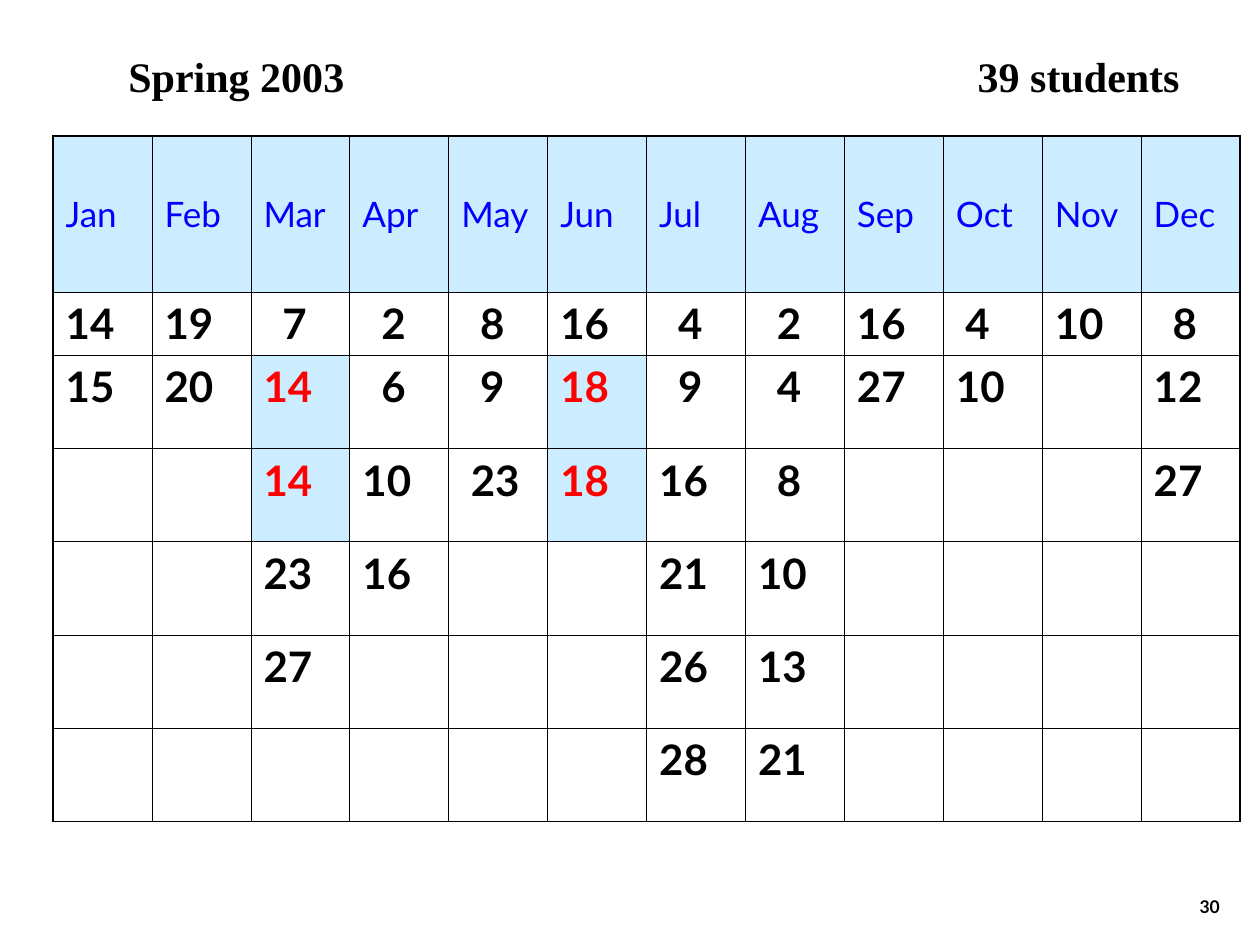
"""Build the Spring 2003 birthday calendar slide."""
from lxml import etree
from pptx import Presentation
from pptx import util as u
from pptx.dml.color import RGBColor
from pptx.enum import text
from pptx.oxml import ns

BLACK = RGBColor(0x00, 0x00, 0x00)
BLUE = RGBColor(0x00, 0x00, 0xFF)
RED = RGBColor(0xFF, 0x00, 0x00)
PALE_BLUE = RGBColor(0xCC, 0xEC, 0xFF)

BIRTHDAYS = {
    "Jan": [14, 15],
    "Feb": [19, 20],
    "Mar": [7, 14, 14, 23, 27],
    "Apr": [2, 6, 10, 16],
    "May": [8, 9, 23],
    "Jun": [16, 18, 18],
    "Jul": [4, 9, 16, 21, 26, 28],
    "Aug": [2, 4, 8, 10, 13, 21],
    "Sep": [16, 27],
    "Oct": [4, 10],
    "Nov": [10],
    "Dec": [8, 12, 27],
}
ROW_HEIGHTS = [3.15, 1.27] + [1.88] * 5
HALF_INDENTS = {("Oct", 4), ("May", 23)}


class Deck:
    """Hold the text style and the current slide."""

    body_font = "Lato"
    title_font = "Times New Roman"
    step = 0.19
    inner, outer = 0.45, 1.08

    def __init__(self, prs):
        self.s = prs.slides.add_slide(prs.slide_layouts[6])

    def run(self, p, words, size, color=BLACK, bold=True, font=body_font):
        r = p.add_run()
        r.text = words
        r.font.name, r.font.size, r.font.bold = font, u.Pt(size), bold
        r.font.color.rgb = color

    def box(self, x, y, w, h, anchor=text.MSO_ANCHOR.TOP):
        sp = self.s.shapes.add_textbox(u.Cm(x), u.Cm(y), u.Cm(w), u.Cm(h))
        tf = sp.text_frame
        tf.word_wrap = True
        tf.vertical_anchor = anchor
        return tf.paragraphs[0]

    def heading(self, left, right):
        p = self.box(2.34, 0.9, 21.79, 1.27)
        tabs = etree.SubElement(p._p.get_or_add_pPr(), ns.qn("a:tabLst"))
        etree.SubElement(tabs, ns.qn("a:tab"), pos=str(u.Cm(17.12)), algn="l")
        for words in (left, "\t", right):
            self.run(p, words, 24, font=self.title_font)

    def page_number(self, number):
        p = self.box(19.56, 17.35, 5.28, 1.27, text.MSO_ANCHOR.BOTTOM)
        p.alignment = text.PP_ALIGN.RIGHT
        self.run(p, str(number), 10)

    def borders(self, cell, widths):
        tcPr = cell._tc.get_or_add_tcPr()
        for i, (side, width) in enumerate(zip("LRTB", widths)):
            ln = etree.Element(ns.qn(f"a:ln{side}"), w=str(u.Pt(width)))
            fill = etree.SubElement(ln, ns.qn("a:solidFill"))
            etree.SubElement(fill, ns.qn("a:srgbClr"), val=str(BLACK))
            tcPr.insert(i, ln)

    def fill(self, cell, shaded):
        if shaded:
            cell.fill.solid()
            cell.fill.fore_color.rgb = PALE_BLUE
        else:
            cell.fill.background()

    def calendar(self, x, y, w, heights, months):
        rows, cols = len(heights), len(months)
        frame = self.s.shapes.add_table(
            rows, cols, u.Cm(x), u.Cm(y), u.Cm(w), u.Cm(sum(heights)))
        table = frame.table
        table.first_row = table.horz_banding = False
        for row, height in zip(table.rows, heights):
            row.height = u.Cm(height)
        for c, (month, days) in enumerate(months.items()):
            for r in range(rows):
                cell = table.cell(r, c)
                p = cell.text_frame.paragraphs[0]
                day = days[r - 1] if 0 < r <= len(days) else None
                shared = day is not None and days.count(day) > 1
                self.fill(cell, r == 0 or shared)
                edges = (c == 0, c == cols - 1, r == 0, r == rows - 1)
                self.borders(cell, [self.outer if e else self.inner for e in edges])
                if r == 0:
                    cell.vertical_anchor = text.MSO_ANCHOR.MIDDLE
                    self.run(p, month, 20, BLUE, bold=False)
                elif day is not None:
                    steps = 1 if (month, day) in HALF_INDENTS else 2 * (day < 10)
                    p._p.get_or_add_pPr().set("marL", str(u.Cm(self.step * steps)))
                    self.run(p, str(day), 24, RED if shared else BLACK)


def main():
    prs = Presentation()
    prs.slide_width, prs.slide_height = u.Cm(25.4), u.Cm(19.05)
    deck = Deck(prs)
    deck.page_number(30)
    deck.heading("Spring 2003", "39 students")
    deck.calendar(1.07, 2.74, 23.93, ROW_HEIGHTS, BIRTHDAYS)
    prs.save("out.pptx")


if __name__ == "__main__":
    main()
